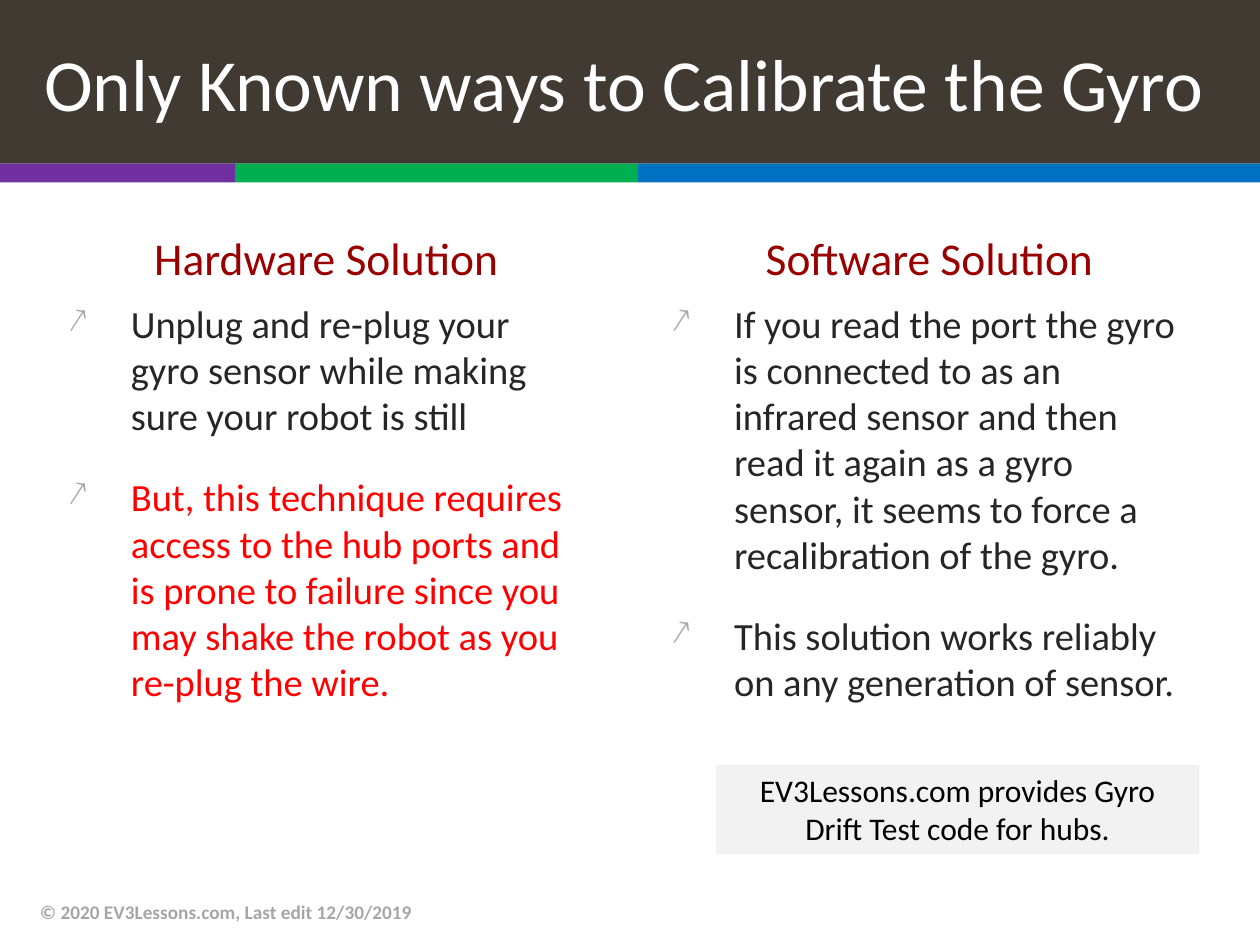
import pptx
import pptx.util
import pptx.dml.color
import pptx.enum.shapes
import pptx.enum.text
import pptx.oxml
import pptx.oxml.ns
from dataclasses import dataclass

Cm = pptx.util.Cm
Pt = pptx.util.Pt
Align = pptx.enum.text.PP_ALIGN
Anchor = pptx.enum.text.MSO_ANCHOR
Rect = pptx.enum.shapes.MSO_SHAPE.RECTANGLE


@dataclass(frozen=True)
class Theme:
    font: str = "Calibri"
    banner: str = "413A33"
    white: str = "FFFFFF"
    head: str = "990000"
    body: str = "262626"
    alert: str = "FF0000"
    muted: str = "A6A6A6"
    panel: str = "F2F2F2"
    black: str = "000000"
    purple: str = "7030A0"
    green: str = "00B050"
    blue: str = "0070C0"
    title_size: int = 42
    head_size: int = 26
    body_size: int = 22
    note_size: int = 18
    foot_size: int = 11


THEME = Theme()


def rgb(code):
    return pptx.dml.color.RGBColor.from_string(code)


def style(para, size, color, bold=False, align=Align.LEFT):
    para.alignment = align
    for run in para.runs:
        run.font.name = THEME.font
        run.font.size = Pt(size)
        run.font.color.rgb = rgb(color)
        run.font.bold = bold


def setup(frame, anchor):
    frame.word_wrap = True
    frame.auto_size = pptx.enum.text.MSO_AUTO_SIZE.NONE
    frame.vertical_anchor = anchor


def add_title(slide, text):
    title = slide.shapes.title
    title.left, title.top = Cm(0), Cm(0)
    title.width, title.height = Cm(25.4), Cm(3.3)
    title.fill.solid()
    title.fill.fore_color.rgb = rgb(THEME.banner)
    frame = title.text_frame
    frame.text = text
    setup(frame, Anchor.MIDDLE)
    frame.margin_left = Cm(0.89)
    style(frame.paragraphs[0], THEME.title_size, THEME.white)


def add_block(slide, box, color):
    block = slide.shapes.add_shape(Rect, *map(Cm, box))
    block.shadow.inherit = False
    block.fill.solid()
    block.fill.fore_color.rgb = rgb(color)
    block.line.fill.background()
    return block


def add_stripe(slide):
    edges = [0, 4.74, 12.86, 25.4]
    colors = [THEME.purple, THEME.green, THEME.blue]
    for left, right, color in zip(edges, edges[1:], colors):
        add_block(slide, (left, 3.3, right - left, 0.38), color)


def add_text(slide, box, text, anchor):
    frame = slide.shapes.add_textbox(*map(Cm, box)).text_frame
    frame.text = text
    setup(frame, anchor)
    return frame


def add_bullet(para):
    props = para._p.get_or_add_pPr()
    props.set("marL", str(Cm(1.27)))
    props.set("indent", str(-Cm(1.27)))
    space = pptx.oxml.ns.nsdecls("a")
    for part in (
        f'<a:buClr {space}><a:srgbClr val="{THEME.muted}"/></a:buClr>',
        f'<a:buSzPct {space} val="90000"/>',
        f'<a:buChar {space} char="↗"/>',
    ):
        props.append(pptx.oxml.parse_xml(part))


def add_column(slide, left, height, head, items):
    frame = add_text(slide, (left, 3.56, 10.92, 2.31), head, Anchor.BOTTOM)
    style(frame.paragraphs[0], THEME.head_size, THEME.head, align=Align.CENTER)
    text = "\n".join(item for item, color in items)
    frame = add_text(slide, (left, 5.92, 10.92, height), text, Anchor.TOP)
    for index, (para, (item, color)) in enumerate(zip(frame.paragraphs, items)):
        add_bullet(para)
        para.space_before = Pt(20 if index else 0)
        style(para, THEME.body_size, color)


def add_note(slide, text):
    note = add_block(slide, (14.43, 15.42, 9.75, 1.8), THEME.panel)
    frame = note.text_frame
    frame.text = text
    setup(frame, Anchor.TOP)
    style(frame.paragraphs[0], THEME.note_size, THEME.black, align=Align.CENTER)


def add_foot(slide, text):
    frame = add_text(slide, (0.56, 17.88, 17.02, 1.02), text, Anchor.MIDDLE)
    style(frame.paragraphs[0], THEME.foot_size, THEME.muted, bold=True)


def main():
    deck = pptx.Presentation()
    deck.slide_width, deck.slide_height = Cm(25.4), Cm(19.05)
    slide = deck.slides.add_slide(deck.slide_layouts[5])
    add_title(slide, "Only Known ways to Calibrate the Gyro")
    add_stripe(slide)
    add_column(slide, 1.12, 8, "Hardware Solution", [
        ("Unplug and re-plug your gyro sensor while making sure your robot "
         "is still", THEME.body),
        ("But, this technique requires access to the hub ports and is prone "
         "to failure since you may shake the robot as you re-plug the wire.",
         THEME.alert),
    ])
    add_column(slide, 13.28, 9.2, "Software Solution", [
        ("If you read the port the gyro is connected to as an infrared sensor "
         "and then read it again as a gyro sensor, it seems to force a "
         "recalibration of the gyro.", THEME.body),
        ("This solution works reliably on any generation of sensor.",
         THEME.body),
    ])
    add_foot(slide, "© 2020 EV3Lessons.com, Last edit 12/30/2019")
    add_note(slide, "EV3Lessons.com provides Gyro Drift Test code for hubs.")
    deck.save("out.pptx")


if __name__ == "__main__":
    main()
